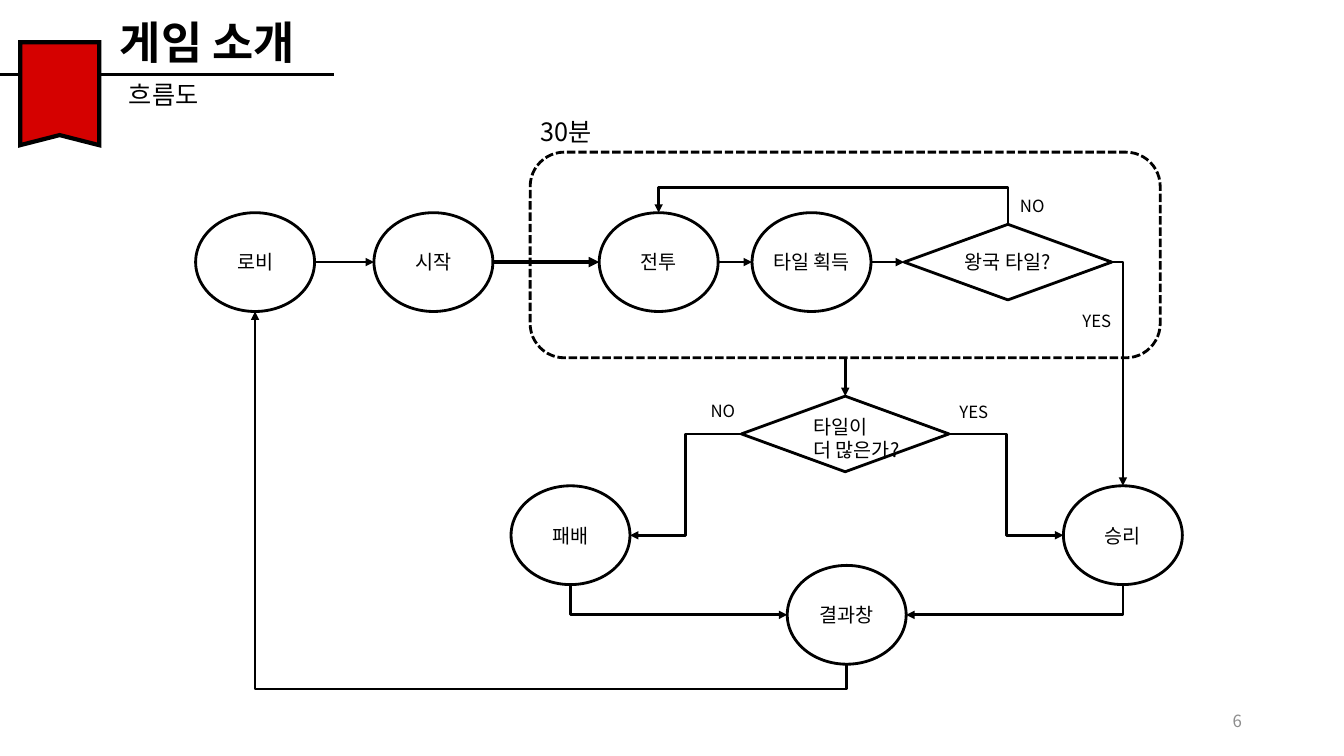
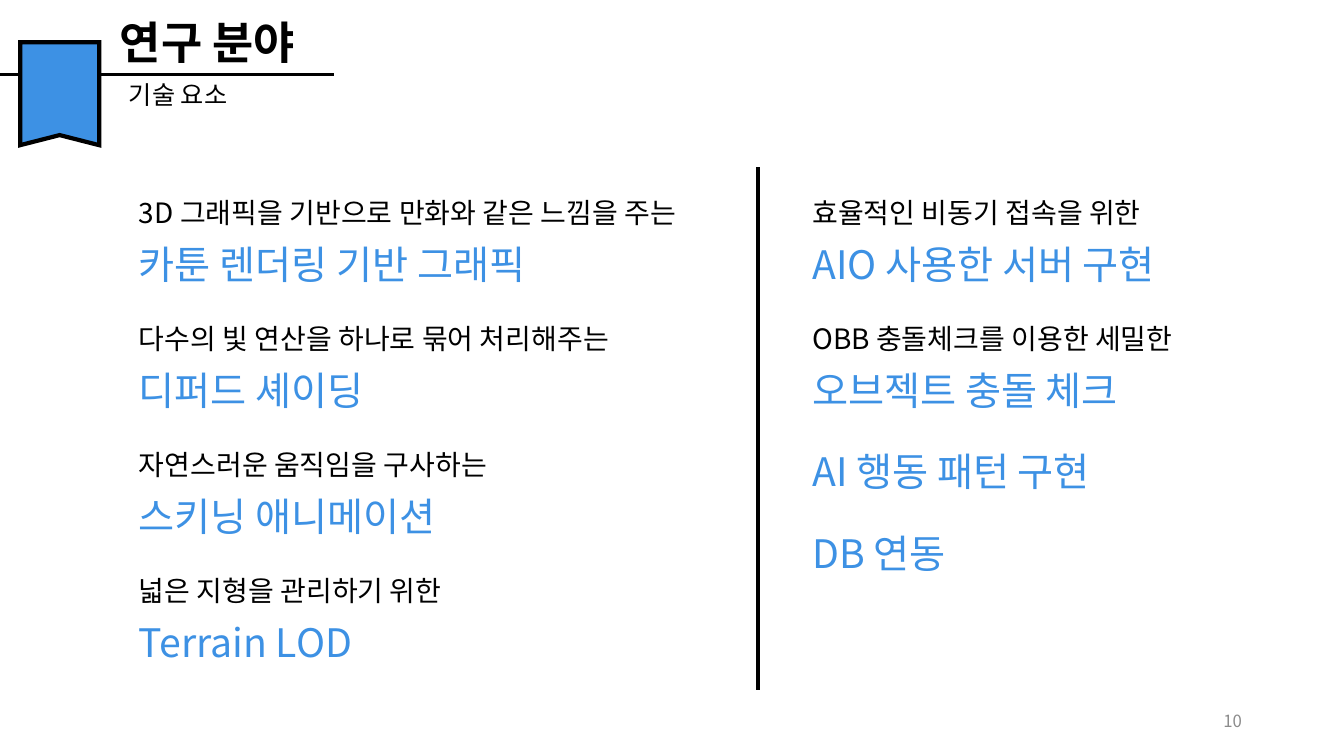
from dataclasses import dataclass
from typing import Optional

from pptx import Presentation
from pptx.dml.color import RGBColor as Rgb
from pptx.enum.dml import MSO_LINE as Dash
from pptx.enum.shapes import MSO_CONNECTOR as Cxn, MSO_SHAPE as Kind
from pptx.enum.text import MSO_ANCHOR as Anchor, PP_ALIGN as Align
from pptx.oxml.ns import qn
from pptx.oxml.xmlchemy import OxmlElement as Elem
from pptx.util import Emu, Inches, Pt


@dataclass(frozen=True)
class Theme:
    font: str = "Noto Sans CJK KR"
    ink: str = "000000"
    paper: str = "FFFFFF"
    red: str = "D50100"
    blue: str = "3D91E4"
    gray: str = "8C8C8C"
    title: int = 32
    head: int = 28
    lead: int = 20
    sub: int = 18
    node: int = 14
    note: int = 12


@dataclass(frozen=True)
class Node:
    """A step of the flow, placed by its centre."""
    key: str
    text: str
    x: float
    y: float
    kind: Kind = Kind.OVAL


@dataclass(frozen=True)
class Link:
    """An arrow between sides (0 top, 1 left, 2 bottom, 3 right)."""
    src: str
    out: int
    dst: str
    into: int
    bend: int = 0
    adj: Optional[float] = None
    width: float = 2


@dataclass(frozen=True)
class Label:
    text: str
    x: float
    y: float
    size: int = 12
    w: float = 5


@dataclass(frozen=True)
class Topic:
    head: str
    lead: str = ""


T = Theme()
WIDE, HIGH = Inches(13.333), Inches(7.5)
TOP, RIGHT, LEFT, BOTTOM = 0, 3, 1, 2
SIZES = {Kind.OVAL: (8.85, 13.07), Kind.DIAMOND: (15.45, 10)}

ROW, LOW = 34.67, 70.8
MID = 62.89
NODES = (
    Node("lobby", "로비", 18.98, ROW),
    Node("start", "시작", 32.25, ROW),
    Node("fight", "전투", 49.01, ROW),
    Node("tile", "타일 획득", 60.38, ROW),
    Node("king", "왕국 타일?", 75, ROW, Kind.DIAMOND),
    Node("more", "타일이\n더 많은가?", MID, 57.4, Kind.DIAMOND),
    Node("lose", "패배", 42.45, LOW),
    Node("win", "승리", 83.55, LOW),
    Node("result", "결과창", 63, 81.33),
)
LINKS = (
    Link("lobby", RIGHT, "start", LEFT),
    Link("start", RIGHT, "fight", LEFT, width=2.5),
    Link("fight", RIGHT, "tile", LEFT),
    Link("tile", RIGHT, "king", LEFT),
    Link("king", TOP, "fight", TOP, 3, 3.17),
    Link("king", RIGHT, "win", TOP, 2),
    Link("box", BOTTOM, "more", TOP),
    Link("more", LEFT, "lose", RIGHT, 3, 0.5),
    Link("more", RIGHT, "win", LEFT, 3, 0.5),
    Link("lose", BOTTOM, "result", LEFT, 2),
    Link("win", BOTTOM, "result", RIGHT, 2),
    Link("result", BOTTOM, "lobby", BOTTOM, 3, -0.07),
)
LABELS = (
    Label("30분", 39.45, 14.67, T.sub, 12.15),
    Label("NO", 75.15, 25.2),
    Label("YES", 79.8, 40.4),
    Label("YES", 70.65, 52.53),
    Label("NO", 52.13, 52.4),
)
TOPICS = (
    (9.6, 45.6, (
        Topic("카툰 렌더링 기반 그래픽", "3D 그래픽을 기반으로 만화와 같은 느낌을 주는"),
        Topic("디퍼드 셰이딩", "다수의 빛 연산을 하나로 묶어 처리해주는"),
        Topic("스키닝 애니메이션", "자연스러운 움직임을 구사하는"),
        Topic("Terrain LOD", "넓은 지형을 관리하기 위한"),
    )),
    (59.7, 37, (
        Topic("AIO 사용한 서버 구현", "효율적인 비동기 접속을 위한"),
        Topic("오브젝트 충돌 체크", "OBB 충돌체크를 이용한 세밀한"),
        Topic("AI 행동 패턴 구현"),
        Topic("DB 연동"),
    )),
)


def across(share: float) -> Emu:
    """Percent of the slide's width."""
    return Emu(round(WIDE * share / 100))


def down(share: float) -> Emu:
    """Percent of the slide's height."""
    return Emu(round(HIGH * share / 100))


def area(x: float, y: float, w: float, h: float) -> tuple:
    return across(x), down(y), across(w), down(h)


def put(frame, text: str, *, size: int, color: str = T.ink, bold: bool = False,
        align: Align = Align.LEFT, anchor: Anchor = Anchor.TOP,
        wrap: bool = True) -> None:
    frame.word_wrap = wrap
    frame.vertical_anchor = anchor
    for i, line in enumerate(text.split("\n")):
        para = frame.add_paragraph() if i else frame.paragraphs[0]
        para.alignment = align
        run = para.add_run()
        run.text = line
        font = run.font
        font.name, font.size, font.bold = T.font, Pt(size), bold
        font.color.rgb = Rgb.from_string(color)
        east = Elem("a:ea")
        east.set("typeface", T.font)
        run._r.get_or_add_rPr().append(east)


def write(slide, box: tuple, text: str, **form) -> None:
    put(slide.shapes.add_textbox(*area(*box)).text_frame, text, **form)


def paint(shape, fill: str, width: float) -> None:
    shape.shadow.inherit = False
    shape.fill.solid()
    shape.fill.fore_color.rgb = Rgb.from_string(fill)
    shape.line.color.rgb = Rgb.from_string(T.ink)
    shape.line.width = Pt(width)


def ink(line, width: float, arrow: bool = False) -> None:
    """Style a connector."""
    line.line.color.rgb = Rgb.from_string(T.ink)
    line.line.width = Pt(width)
    props = line._element.spPr
    if arrow:
        tail = Elem("a:tailEnd")
        tail.set("type", "triangle")
        props.find(qn("a:ln")).append(tail)
    props.append(Elem("a:effectLst"))


def rule(slide, x1: float, y1: float, x2: float, y2: float, width: float) -> None:
    line = slide.shapes.add_connector(
        Cxn.STRAIGHT, across(x1), down(y1), across(x2), down(y2))
    ink(line, width)


def bend(line, link: Link) -> None:
    """Turn the elbow so that it leaves its start at a right angle."""
    x, y = line.begin_x, line.begin_y
    dx, dy = line.end_x - x, line.end_y - y
    item = line._element
    if link.out in (TOP, BOTTOM):
        w, h = abs(dy), abs(dx)
        line.rotation = 270 if dx > 0 else 90
        item.flipH, item.flipV = (dy < 0) != (dx > 0), False
    else:
        w, h = abs(dx), abs(dy)
        item.flipH, item.flipV = dx < 0, dy < 0
    line.left, line.top = Emu(x + (dx - w) // 2), Emu(y + (dy - h) // 2)
    line.width, line.height = Emu(w), Emu(h)
    form = item.spPr.find(qn("a:prstGeom"))
    form.set("prst", f"bentConnector{link.bend}")
    if link.adj is not None:
        guide = Elem("a:gd")
        guide.set("name", "adj1")
        guide.set("fmla", f"val {round(link.adj * 100000)}")
        form.find(qn("a:avLst")).append(guide)


def join(slide, link: Link, parts: dict) -> None:
    src, dst = parts[link.src], parts[link.dst]
    kind = Cxn.ELBOW if link.bend else Cxn.STRAIGHT
    line = slide.shapes.add_connector(kind, 0, 0, 0, 0)
    line.begin_connect(src, link.out)
    line.end_connect(dst, link.into)
    ends = (("a:stCxn", src, link.out), ("a:endCxn", dst, link.into))
    for tag, part, side in ends:
        if part.auto_shape_type == Kind.OVAL:  # ovals have eight sites
            next(line._element.iter(qn(tag))).set("idx", str(2 * side))
    if link.bend:
        bend(line, link)
    ink(line, link.width, arrow=True)


def begin(deck, title: str, sub: str, page: int, color: str):
    """Add a slide with its ribbon, heading and page number."""
    slide = deck.slides.add_slide(deck.slide_layouts[6])
    rule(slide, 0, 9.87, 24.83, 9.87, 2.5)
    l, r, top, low = 1.5, 7.38, 5.6, 19.2
    edge = [(r, top), (r, low), ((l + r) / 2, 17.87), (l, low)]
    pen = slide.shapes.build_freeform(across(l), down(top))
    pen.add_line_segments([(across(x), down(y)) for x, y in edge], close=True)
    flag = pen.convert_to_shape()
    paint(flag, color, 3)
    flag._element.spPr.find(qn("a:ln")).append(Elem("a:miter"))
    write(slide, (8.18, 1.33, 17.33, 8.53), title, size=T.title, bold=True)
    write(slide, (8.85, 9.87, 21.2, 5.33), sub, size=T.sub)
    write(slide, (70.65, 92.67, 22.5, 5.33), str(page), size=T.note,
          color=T.gray, align=Align.RIGHT, anchor=Anchor.MIDDLE)
    return slide


def draw(slide, node: Node):
    w, h = SIZES[node.kind]
    shape = slide.shapes.add_shape(
        node.kind, *area(node.x - w / 2, node.y - h / 2, w, h))
    paint(shape, T.paper, 2)
    frame = shape.text_frame
    frame.margin_left = frame.margin_right = 0
    frame.margin_top = frame.margin_bottom = 0
    align = Align.CENTER
    if "\n" in node.text:
        align = Align.LEFT
        frame.margin_left, frame.margin_top = Inches(0.2), Inches(0.08)
    put(frame, node.text, size=T.node, align=align,
        anchor=Anchor.MIDDLE, wrap=False)
    return shape


def flow(deck) -> None:
    slide = begin(deck, "게임 소개", "흐름도", 6, T.red)
    w, h = 46.88, 27.2
    box = slide.shapes.add_shape(
        Kind.ROUNDED_RECTANGLE, *area(MID - w / 2, 20.13, w, h))
    paint(box, T.paper, 2)
    box.line.dash_style = Dash.SQUARE_DOT
    parts = {"box": box}
    for node in NODES:
        parts[node.key] = draw(slide, node)
    for link in LINKS:
        join(slide, link, parts)
    for tag in LABELS:
        write(slide, (tag.x, tag.y, tag.w, 4), tag.text, size=tag.size)


def fields(deck) -> None:
    slide = begin(deck, "연구 분야", "기술 요소", 10, T.blue)
    rule(slide, 56.4, 22.13, 56.4, 91.33, 3.5)
    lead, head, gap = 5.87, 7.6, 3.2
    for x, w, topics in TOPICS:
        y = 25.2
        for topic in topics:
            if topic.lead:
                write(slide, (x, y, w, lead), topic.lead, size=T.lead)
                y += lead
            write(slide, (x, y, w, head), topic.head, size=T.head, color=T.blue)
            y += head + gap


def main() -> None:
    deck = Presentation()
    deck.slide_width, deck.slide_height = WIDE, HIGH
    flow(deck)
    fields(deck)
    deck.save("out.pptx")


if __name__ == "__main__":
    main()
